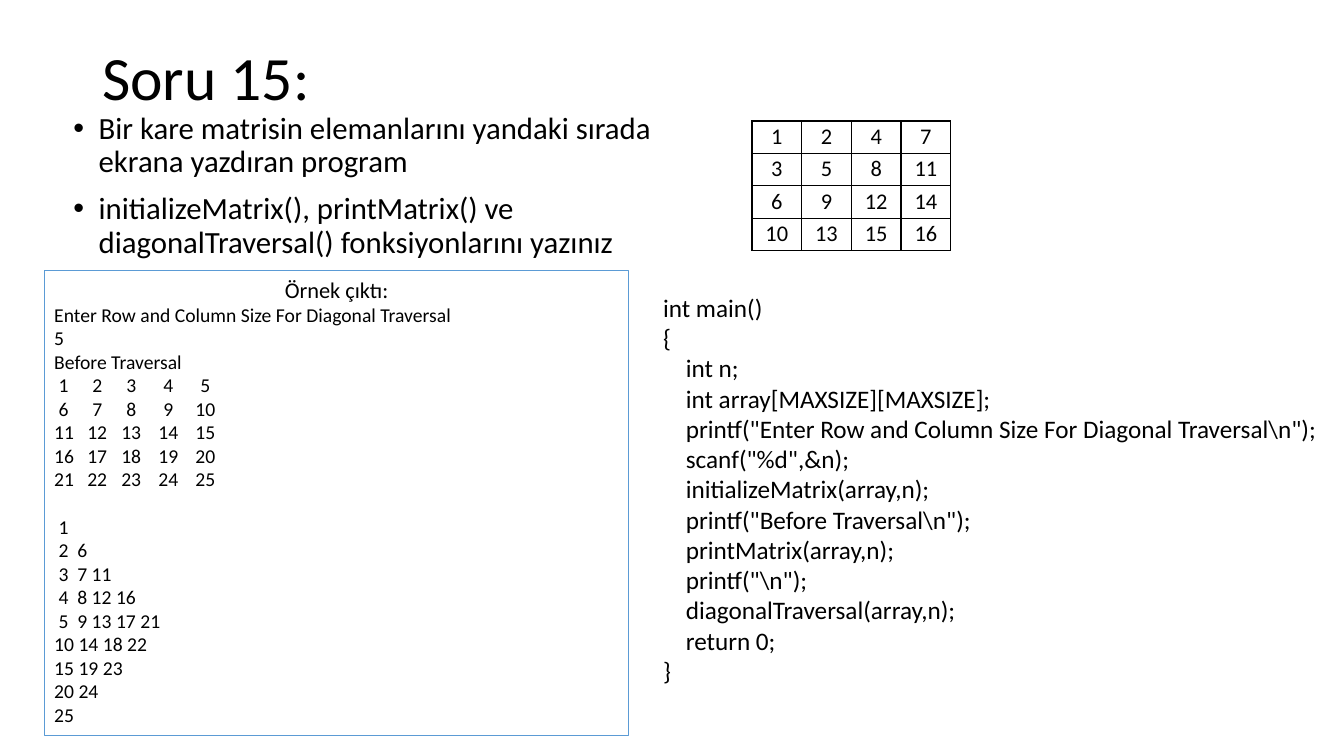
import pptx
import pptx.dml.color
import pptx.enum.shapes
import pptx.enum.text
import pptx.oxml
import pptx.oxml.ns
import pptx.util

Pt = pptx.util.Pt
ALIGN = pptx.enum.text.PP_ALIGN
ANCHOR = pptx.enum.text.MSO_ANCHOR
COLORS = {"text": "000000", "frame": "5B9BD5"}
FONT = "Calibri"

BULLETS = [
    "Bir kare matrisin elemanlarını yandaki sırada ekrana yazdıran program",
    "initializeMatrix(), printMatrix() ve diagonalTraversal() fonksiyonlarını yazınız",
]
CODE = r'''int main()
{
    int n;
    int array[MAXSIZE][MAXSIZE];
    printf("Enter Row and Column Size For Diagonal Traversal\n");
    scanf("%d",&n);
    initializeMatrix(array,n);
    printf("Before Traversal\n");
    printMatrix(array,n);
    printf("\n");
    diagonalTraversal(array,n);
    return 0;
}'''.splitlines()
PROMPT = ["Enter Row and Column Size For Diagonal Traversal", "5", "Before Traversal"]
MATRIX = [
    "\t".join([f"{first:2}"] + [str(first + i) for i in range(1, 5)])
    for first in range(1, 26, 5)
]
DIAGONALS = [" 1", " 2\t6", " 3\t7 11", " 4\t8 12 16", " 5\t9 13 17 21",
             "10 14 18 22", "15 19 23", "20 24", "25"]
MATRIX_TABS = [(30.7, "ctr"), (55, "ctr"), (81.5, "ctr"), (108, "ctr")]
DIAGONAL_TABS = [(16.5, "l")]
ORDER = [[1, 2, 4, 7], [3, 5, 8, 11], [6, 9, 12, 14], [10, 13, 15, 16]]


def rgb(name):
    return pptx.dml.color.RGBColor.from_string(COLORS[name])


def xml(tag, content="", **attrs):
    """Build one DrawingML element."""
    pairs = " ".join(f'{key}="{value}"' for key, value in attrs.items())
    ns = pptx.oxml.ns.nsdecls("a")
    return pptx.oxml.parse_xml(f"<a:{tag} {ns} {pairs}>{content}</a:{tag}>")


def set_format(target, values):
    for name, value in values.items():
        setattr(target, name, value)


def add_lines(tf, lines, size, tabs=(), bullet=False, **layout):
    """Append paragraphs, filling the empty first one of a new frame."""
    for line in lines:
        p = tf.paragraphs[0] if not tf.text else tf.add_paragraph()
        set_format(p, layout)
        pPr = p._p.get_or_add_pPr()
        if bullet:
            pPr.set("marL", str(Pt(18)))
            pPr.set("indent", str(-Pt(18)))
            pPr.append(xml("buFont", typeface="Arial"))
            pPr.append(xml("buChar", char="•"))
        if tabs:
            stops = "".join(f'<a:tab pos="{Pt(pos)}" algn="{algn}"/>'
                            for pos, algn in tabs)
            pPr.append(xml("tabLst", stops))
        r = p.add_run()
        r.text = line
        set_format(r.font, {"name": FONT, "size": Pt(size)})
        r.font.color.rgb = rgb("text")


def add_text(s, box, anchor=ANCHOR.TOP):
    tf = s.shapes.add_textbox(*map(Pt, box)).text_frame
    set_format(tf, {"word_wrap": True, "vertical_anchor": anchor})
    return tf


def add_frame(s, box):
    rect = pptx.enum.shapes.MSO_SHAPE.RECTANGLE
    sp = s.shapes.add_shape(rect, *map(Pt, box))
    sp.shadow.inherit = False
    sp.fill.background()
    sp.line.color.rgb = rgb("frame")
    sp.line.width = Pt(0.75)
    set_format(sp.text_frame, {"word_wrap": True, "vertical_anchor": ANCHOR.TOP})
    return sp.text_frame


def add_grid(s, box, rows):
    table = s.shapes.add_table(len(rows), len(rows[0]), *map(Pt, box)).table
    set_format(table, {"first_row": False, "horz_banding": False})
    fill = f'<a:solidFill><a:srgbClr val="{COLORS["text"]}"/></a:solidFill>'
    margins = {"margin_left": Pt(5), "margin_right": Pt(5),
               "margin_top": 0, "margin_bottom": 0}
    for i, row in enumerate(rows):
        for j, value in enumerate(row):
            cell = table.cell(i, j)
            set_format(cell, margins)
            add_lines(cell.text_frame, [str(value)], 16, alignment=ALIGN.CENTER,
                      line_spacing=1.07, space_after=Pt(8))
            tcPr = cell._tc.get_or_add_tcPr()
            for side in ("lnL", "lnR", "lnT", "lnB"):
                tcPr.append(xml(side, fill, w=Pt(1)))
            cell.fill.background()


def main():
    prs = pptx.Presentation()
    set_format(prs, {"slide_width": Pt(960), "slide_height": Pt(540)})
    s = prs.slides.add_slide(prs.slide_layouts[6])

    title = add_text(s, (66, 5, 828, 104.4), ANCHOR.MIDDLE)
    add_lines(title, ["Soru 15:"], 44, line_spacing=0.9)

    body = add_text(s, (45.4, 77, 431.3, 110.2))
    add_lines(body, BULLETS, 22, bullet=True, line_spacing=0.9)
    body.paragraphs[1].space_before = Pt(10)

    add_lines(add_text(s, (466.6, 205.2, 493.4, 290.9)), CODE, 18)

    output = add_frame(s, (31.7, 193.4, 417.6, 332))
    add_lines(output, ["Örnek çıktı:"], 16)
    add_lines(output, PROMPT, 14)
    add_lines(output, MATRIX, 14, MATRIX_TABS)
    add_lines(output, DIAGONALS[:1], 14, space_before=Pt(17))
    add_lines(output, DIAGONALS[1:], 14, DIAGONAL_TABS)

    add_grid(s, (537.1, 86.4, 142, 92.8), ORDER)
    prs.save("out.pptx")


if __name__ == "__main__":
    main()
